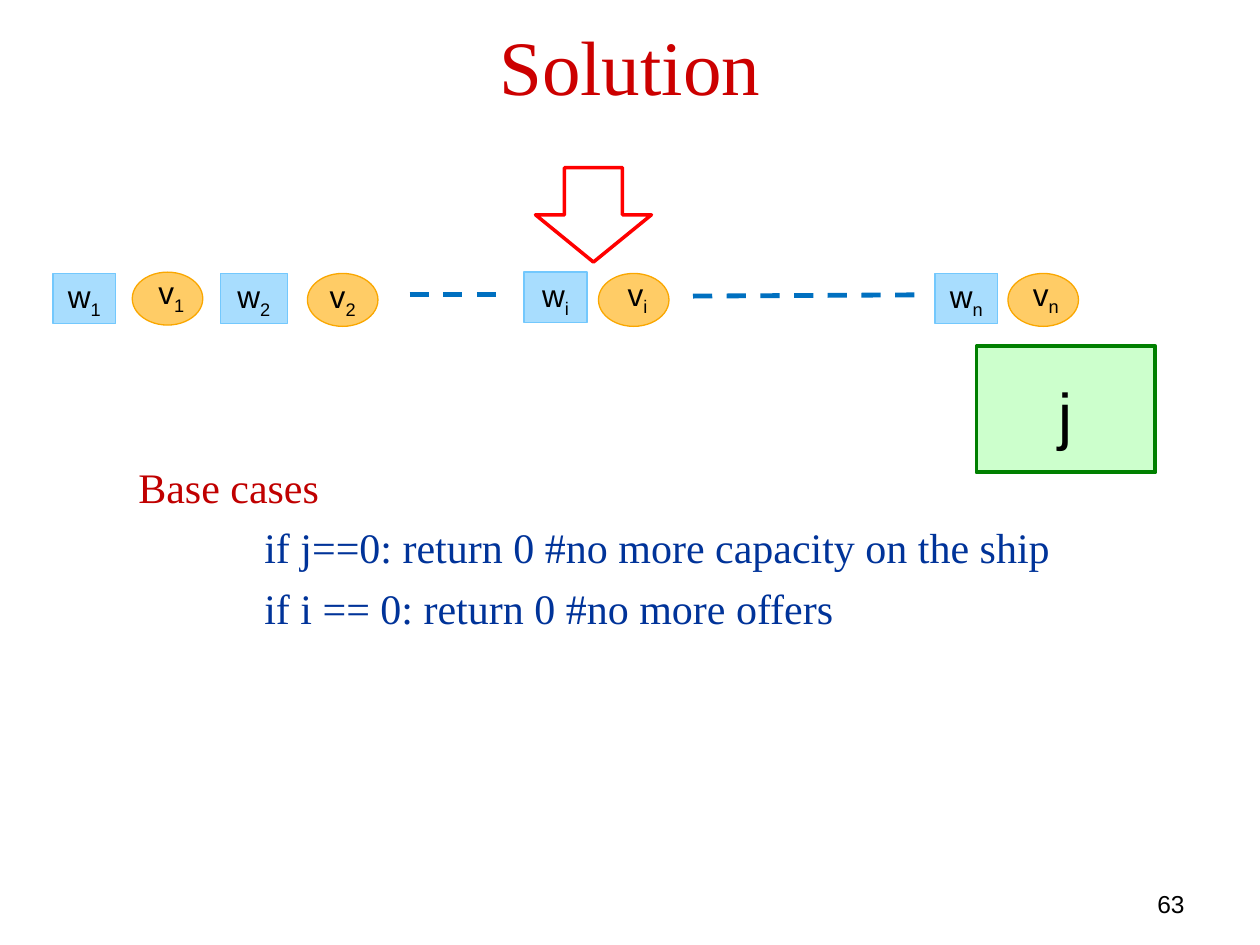
from lxml import etree
from pptx import Presentation
from pptx.dml.color import RGBColor
from pptx.enum import dml, shapes, text
from pptx.oxml.ns import qn
from pptx.util import Inches, Pt

SANS, SERIF = "Arial", "Times New Roman"
CENTER, LEFT, RIGHT = text.PP_ALIGN.CENTER, text.PP_ALIGN.LEFT, text.PP_ALIGN.RIGHT
TOP, MIDDLE = text.MSO_ANCHOR.TOP, text.MSO_ANCHOR.MIDDLE

# subscript, weight box (left, top, width), value ellipse (left, top), value label (left, top)
OFFERS = [
    ("1", (0.42, 2.17, 0.5), (1.05, 2.16), (1.08, 2.14)),
    ("2", (1.75, 2.17, 0.53), (2.44, 2.17), (2.44, 2.17)),
    ("i", (4.16, 2.16, 0.5), (4.75, 2.17), (4.78, 2.15)),
    ("n", (7.42, 2.17, 0.5), (8, 2.17), (8.02, 2.15)),
]


def rgb(color):
    return RGBColor.from_string(color)


def style_run(run, size, font, color):
    run.font.size = Pt(size)
    run.font.name = font
    run.font.color.rgb = rgb(color)


def prepare_frame(frame, anchor, margin=0):
    frame.word_wrap = True
    frame.vertical_anchor = anchor
    frame.margin_left = frame.margin_right = Inches(margin)
    frame.margin_top = frame.margin_bottom = Inches(margin / 2)


def write_line(paragraph, words, size, font, color, align):
    paragraph.text = words
    paragraph.alignment = align
    style_run(paragraph.runs[0], size, font, color)


def write_variable(frame, letter, subscript):
    """Centre a letter followed by its lowered index."""
    prepare_frame(frame, MIDDLE)
    paragraph = frame.paragraphs[0]
    write_line(paragraph, letter, 18, SANS, "000000", CENTER)
    index = paragraph.add_run()
    index.text = subscript
    style_run(index, 18, SANS, "000000")
    index.font._element.set("baseline", "-25000")


def add_text(slide, box, words, size, font, color, align, anchor):
    frame = slide.shapes.add_textbox(*map(Inches, box)).text_frame
    prepare_frame(frame, anchor, 0.1)
    write_line(frame.paragraphs[0], words, size, font, color, align)


def add_figure(slide, preset, box, fill, line, width):
    figure = slide.shapes.add_shape(preset, *map(Inches, box))
    figure.shadow.inherit = False
    if fill:
        figure.fill.solid()
        figure.fill.fore_color.rgb = rgb(fill)
    else:
        figure.fill.background()
    figure.line.color.rgb = rgb(line)
    figure.line.width = Pt(width)
    return figure


def add_offer(slide, subscript, weight, value, label):
    left, top, width = weight
    weight_box = add_figure(slide, shapes.MSO_SHAPE.RECTANGLE, (left, top, width, 0.4),
                            "A8DDFE", "73C8FD", 0.75)
    write_variable(weight_box.text_frame, "w", subscript)
    add_figure(slide, shapes.MSO_SHAPE.OVAL, (*value, 0.56, 0.42), "FFCC66", "FAA700", 0.75)
    value_label = slide.shapes.add_textbox(*map(Inches, (*label, 0.56, 0.4)))
    write_variable(value_label.text_frame, "v", subscript)


def add_dashes(slide, start, end):
    dashes = slide.shapes.add_connector(shapes.MSO_CONNECTOR.STRAIGHT,
                                        *map(Inches, (*start, *end)))
    dashes.line.color.rgb = rgb("0070C0")
    dashes.line.width = Pt(2.75)
    dashes.line.dash_style = dml.MSO_LINE.DASH
    etree.SubElement(dashes._element.spPr, qn("a:effectLst"))


def add_base_cases(slide):
    lines = [
        ("Base cases", "C00000", 0.5),
        ("if j==0: return 0 #no more capacity on the ship", "003399", 1.5),
        ("if i == 0: return 0 #no more offers", "003399", 1.5),
    ]
    frame = slide.shapes.add_textbox(*map(Inches, (0.5, 3.61, 9.17, 1.5))).text_frame
    prepare_frame(frame, TOP, 0.1)
    for number, (words, color, indent) in enumerate(lines):
        paragraph = frame.add_paragraph() if number else frame.paragraphs[0]
        write_line(paragraph, words, 24, SERIF, color, LEFT)
        paragraph.space_before = Pt(5.8 if number else 0)
        paragraph._p.get_or_add_pPr().set("marL", str(Inches(indent)))


def main():
    deck = Presentation()
    deck.slide_width, deck.slide_height = Inches(10), Inches(7.5)
    slide = deck.slides.add_slide(deck.slide_layouts[6])

    add_text(slide, (0.5, -0.03, 9, 1.08), "Solution", 44, SERIF, "CC0000", CENTER, MIDDLE)
    add_base_cases(slide)
    for offer in OFFERS:
        add_offer(slide, *offer)
    add_dashes(slide, (3.25, 2.34), (4, 2.34))
    add_dashes(slide, (5.5, 2.35), (7.33, 2.34))

    capacity = add_figure(slide, shapes.MSO_SHAPE.RECTANGLE, (7.75, 2.75, 1.42, 1),
                          "CCFFCC", "008000", 2.25)
    prepare_frame(capacity.text_frame, MIDDLE)
    capacity.text_frame.margin_top = Inches(0.06)
    write_line(capacity.text_frame.paragraphs[0], "j", 36, SANS, "000000", CENTER)

    add_figure(slide, shapes.MSO_SHAPE.DOWN_ARROW, (4.25, 1.33, 0.92, 0.75),
               None, "FF0000", 2)
    add_text(slide, (7.17, 7.01, 2.33, 0.25), "63", 14, SANS, "000000", RIGHT, TOP)
    deck.save("out.pptx")


if __name__ == "__main__":
    main()
